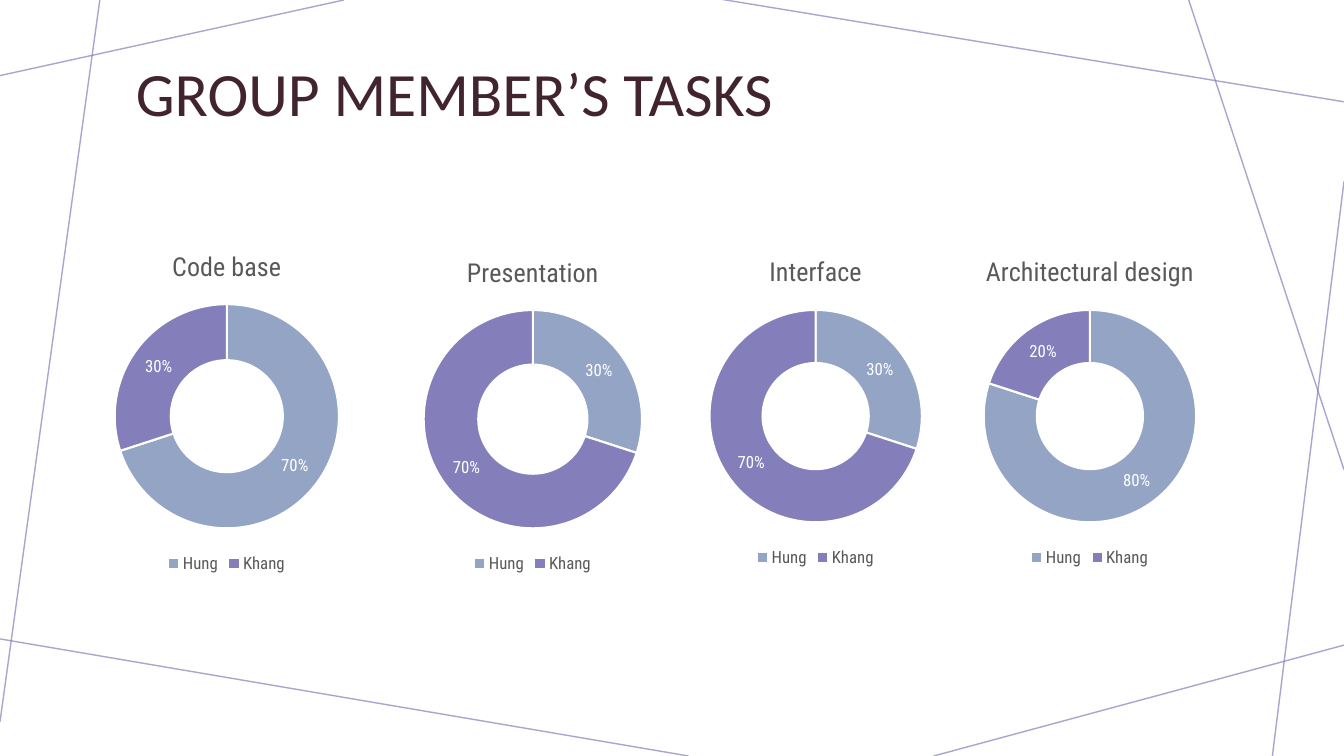
from dataclasses import dataclass

from lxml import etree
from pptx import Presentation
from pptx.chart.data import CategoryChartData
from pptx.dml.color import RGBColor
from pptx.enum.chart import XL_CHART_TYPE, XL_LEGEND_POSITION
from pptx.enum.shapes import MSO_CONNECTOR
from pptx.enum.text import MSO_ANCHOR
from pptx.oxml import parse_xml
from pptx.oxml.ns import nsdecls, qn
from pptx.util import Inches, Pt

DOUGHNUT = XL_CHART_TYPE.DOUGHNUT
LEGEND_BOTTOM = XL_LEGEND_POSITION.BOTTOM
STRAIGHT = MSO_CONNECTOR.STRAIGHT
TOP = MSO_ANCHOR.TOP


@dataclass(frozen=True)
class Theme:
    heading: RGBColor = RGBColor(0x41, 0x24, 0x2F)
    muted: RGBColor = RGBColor(0x59, 0x59, 0x59)
    white: RGBColor = RGBColor(0xFF, 0xFF, 0xFF)
    blue: RGBColor = RGBColor(0x93, 0xA4, 0xC5)
    purple: RGBColor = RGBColor(0x84, 0x7F, 0xBA)
    heading_font: str = "Calibri"
    chart_font: str = "Roboto Condensed"
    heading_size: float = 44
    chart_title_size: float = 18.6
    chart_text_size: float = 12
    line_opacity: int = 70


THEME = Theme()
MEMBERS = ("Hung", "Khang")

# Start and end of each background line: x1, y1, x2, y2
BACKGROUND_LINES = (
    (3.41, 0, 0, 0.75),
    (0.99, 0, 0, 7.16),
    (6.83, 7.5, -0.05, 6.33),
    (13.33, 6.4, 9.26, 7.5),
    (13.33, 1.8, 12.62, 7.5),
    (13.33, 4.66, 11.79, 0),
    (13.33, 1.01, 7.14, -0.01),
)

# Task, share of each member, box as left, top, width, height
TASKS = (
    ("Code base", (0.7, 0.3), (-0.17, 2.3, 4.84, 3.43)),
    ("Presentation", (0.3, 0.7), (3.02, 2.36, 4.53, 3.37)),
    ("Interface", (0.3, 0.7), (5.87, 2.36, 4.44, 3.31)),
    ("Architectural design", (0.8, 0.2), (8.59, 2.36, 4.44, 3.31)),
)


def inches(values):
    return [Inches(value) for value in values]


def style_font(font, name, size, color):
    font.name = name
    font.size = Pt(size)
    font.color.rgb = color
    font.bold = False


def add_background_line(page, ends):
    line = page.shapes.add_connector(STRAIGHT, *inches(ends))
    line.line.width = Pt(1)
    line.line.color.rgb = THEME.purple
    properties = line._element.spPr
    color = properties.find(".//" + qn("a:srgbClr"))
    etree.SubElement(color, qn("a:alpha"), val=str(THEME.line_opacity * 1000))
    etree.SubElement(properties, qn("a:effectLst"))


def add_heading(page, text, box):
    frame = page.shapes.add_textbox(*inches(box)).text_frame
    frame.word_wrap = True
    frame.vertical_anchor = TOP
    para = frame.paragraphs[0]
    para.text = text
    para.line_spacing = 0.9
    style_font(para.font, THEME.heading_font, THEME.heading_size, THEME.heading)


def add_task_chart(page, task, shares, box):
    data = CategoryChartData(number_format="0%")
    data.categories = MEMBERS
    data.add_series(task, shares)
    chart = page.shapes.add_chart(DOUGHNUT, *inches(box), data).chart
    style_font(chart.font, THEME.chart_font, THEME.chart_text_size, THEME.muted)

    # Title and legend
    chart.has_title = True
    chart.chart_title.include_in_layout = False
    para = chart.chart_title.text_frame.paragraphs[0]
    para.text = task
    style_font(para.font, THEME.chart_font, THEME.chart_title_size, THEME.muted)
    chart.has_legend = True
    chart.legend.position = LEGEND_BOTTOM
    chart.legend.include_in_layout = False
    style_font(chart.legend.font, THEME.chart_font, THEME.chart_text_size, THEME.muted)

    # Ring segments
    plot = chart.plots[0]
    plot.vary_by_categories = True
    for index, color in enumerate((THEME.blue, THEME.purple)):
        segment = plot.series[0].points[index].format
        segment.fill.solid()
        segment.fill.fore_color.rgb = color
        segment.line.color.rgb = THEME.white
        segment.line.width = Pt(1.5)

    # Share labels
    plot.has_data_labels = True
    labels = plot.data_labels
    labels.show_value = True
    labels.show_percentage = False
    labels.number_format = "0%"
    labels.number_format_is_linked = False
    style_font(labels.font, THEME.chart_font, THEME.chart_text_size, THEME.white)

    # Hole size and clear background, so that neighbouring boxes may overlap
    space = chart._chartSpace
    space.find(".//" + qn("c:holeSize")).set("val", "75")
    clear = f"<c:spPr {nsdecls('c', 'a')}><a:noFill/><a:ln><a:noFill/></a:ln></c:spPr>"
    space.find(qn("c:chart")).addnext(parse_xml(clear))


def build_tasks_slide(deck):
    page = deck.slides.add_slide(deck.slide_layouts[6])
    page.background.fill.solid()
    page.background.fill.fore_color.rgb = THEME.white
    for ends in BACKGROUND_LINES:
        add_background_line(page, ends)
    add_heading(page, "GROUP MEMBER’S TASKS", (1.25, 0.58, 10.83, 1.51))
    for task, shares, box in TASKS:
        add_task_chart(page, task, shares, box)


def main():
    deck = Presentation()
    deck.slide_width = Inches(13.33)
    deck.slide_height = Inches(7.5)
    build_tasks_slide(deck)
    deck.save("out.pptx")


if __name__ == "__main__":
    main()
